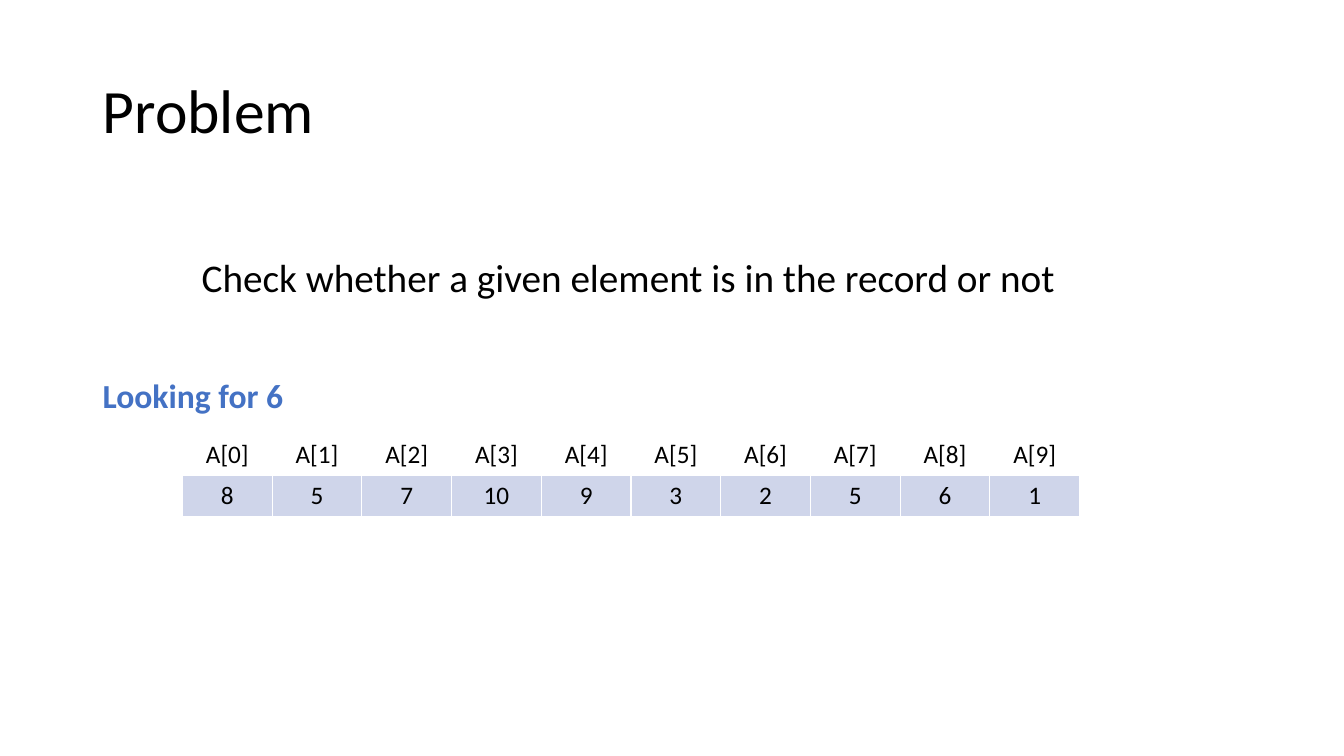
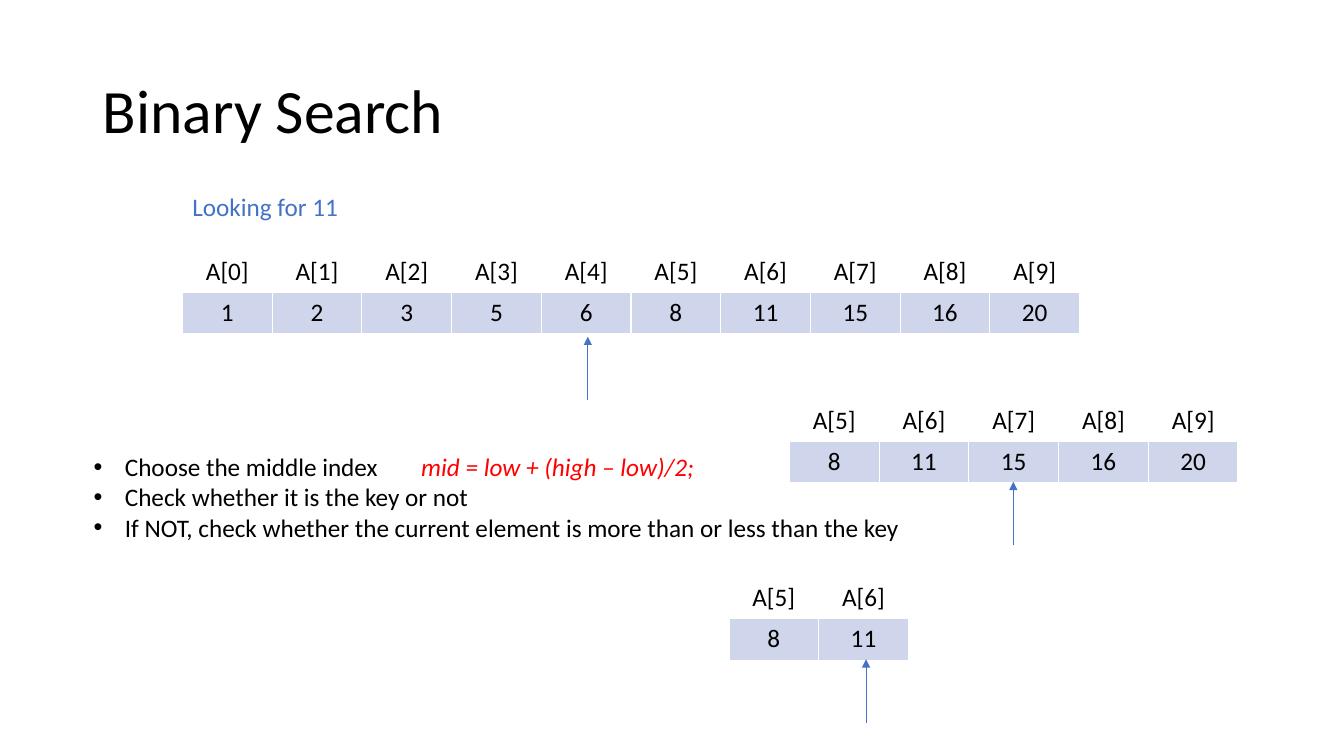
from lxml.etree import SubElement
from pptx import Presentation
from pptx.dml.color import RGBColor
from pptx.enum.shapes import MSO_CONNECTOR
from pptx.enum.text import MSO_ANCHOR, PP_ALIGN
from pptx.oxml.ns import qn
from pptx.util import Inches, Pt

COLORS = {"text": "000000", "accent": "4472C4", "cell": "CFD5EA", "formula": "FF0000"}
FONT = "Calibri"
CELL_WIDTH, CELL_HEIGHT = 0.89, 0.41


def style(paragraph, size, color="text", bold=False, italic=False, align=PP_ALIGN.LEFT):
    paragraph.alignment = align
    for run in paragraph.runs:
        run.font.name = FONT
        run.font.size = Pt(size)
        run.font.bold = bold
        run.font.italic = italic
        run.font.color.rgb = RGBColor.from_string(COLORS[color])


def add_label(slide, text, left, top, width, height, size, **look):
    label = slide.shapes.add_textbox(Inches(left), Inches(top), Inches(width), Inches(height))
    label.text_frame.word_wrap = True
    label.text_frame.text = text
    for paragraph in label.text_frame.paragraphs:
        style(paragraph, size, **look)
    return label


prs = Presentation()
prs.slide_width, prs.slide_height = Inches(13.33), Inches(7.5)

slides = []
for heading in ("Problem", "Binary Search"):
    slide = prs.slides.add_slide(prs.slide_layouts[5])
    title = slide.shapes.title
    title.left, title.top = Inches(0.92), Inches(0.4)
    title.width, title.height = Inches(11.5), Inches(1.45)
    title.text_frame.text = heading
    title.text_frame.vertical_anchor = MSO_ANCHOR.MIDDLE
    title.text_frame.paragraphs[0].line_spacing = 0.9
    style(title.text_frame.paragraphs[0], 44)
    slides.append(slide)
problem, search = slides

record = [8, 5, 7, 10, 9, 3, 2, 5, 6, 1]
sorted_record = [1, 2, 3, 5, 6, 8, 11, 15, 16, 20]
arrays = [
    (problem, 1.81, 4.31, 0, record),
    (search, 1.81, 2.49, 0, sorted_record),
    (search, 7.83, 3.97, 5, sorted_record[5:]),
    (search, 7.23, 5.73, 5, sorted_record[5:7]),
]
for slide, left, top, first_index, values in arrays:
    array = slide.shapes.add_table(
        2, len(values), Inches(left), Inches(top),
        Inches(CELL_WIDTH * len(values)), Inches(2 * CELL_HEIGHT)).table
    array.horz_banding = False
    for row in array.rows:
        row.height = Inches(CELL_HEIGHT)
    for position, value in enumerate(values):
        array.columns[position].width = Inches(CELL_WIDTH)
        index_cell, value_cell = array.cell(0, position), array.cell(1, position)
        index_cell.text = f"A[{first_index + position}]"
        value_cell.text = str(value)
        index_cell.fill.background()
        value_cell.fill.solid()
        value_cell.fill.fore_color.rgb = RGBColor.from_string(COLORS["cell"])
        for cell in (index_cell, value_cell):
            style(cell.text_frame.paragraphs[0], 18, align=PP_ALIGN.CENTER)

add_label(problem, "Looking for 6", 0.92, 3.67, 2.05, 0.5, 24, color="accent", bold=True)
add_label(problem, "Check whether a given element is in the record or not",
          1.81, 2.46, 8.84, 0.57, 28, align=PP_ALIGN.CENTER)

add_label(search, "Looking for 11", 1.81, 1.85, 1.7, 0.4, 18, color="accent")
add_label(search, "mid = low + (high – low)/2;", 4.08, 4.43, 3.06, 0.4, 18,
          color="formula", italic=True)
steps = add_label(
    search,
    "Choose the middle index\n"
    "Check whether it is the key or not\n"
    "If NOT, check whether the current element is more than or less than the key",
    0.83, 4.43, 8.29, 1.31, 18)
for step in steps.text_frame.paragraphs:
    properties = step._p.get_or_add_pPr()
    properties.set("marL", str(Inches(0.31)))
    properties.set("indent", str(-Inches(0.31)))
    SubElement(properties, qn("a:buFont"), typeface="Arial")
    SubElement(properties, qn("a:buChar"), char="•")

for middle, tip in ((5.83, 3.34), (10.05, 4.78), (8.59, 6.54)):
    pointer = search.shapes.add_connector(
        MSO_CONNECTOR.STRAIGHT, Inches(middle), Inches(tip + 0.63), Inches(middle), Inches(tip))
    pointer.line.color.rgb = RGBColor.from_string(COLORS["accent"])
    pointer.line.width = Pt(0.5)
    SubElement(pointer.line._get_or_add_ln(), qn("a:tailEnd"), type="triangle")
    SubElement(pointer._element.spPr, qn("a:effectLst"))

prs.save("out.pptx")
